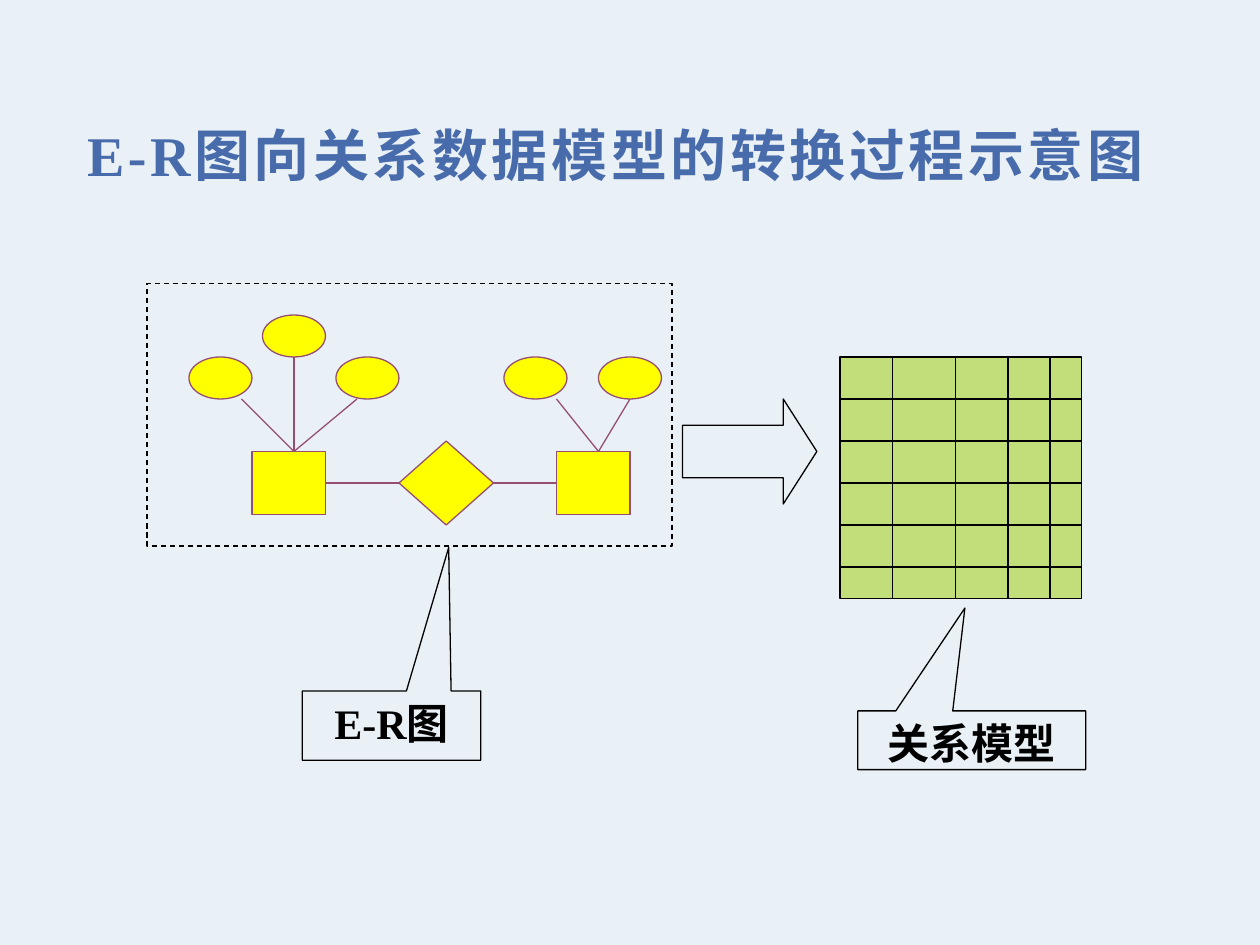
from lxml.etree import SubElement
from pptx import Presentation
from pptx.dml.color import RGBColor
from pptx.enum.dml import MSO_LINE
from pptx.enum.shapes import MSO_CONNECTOR, MSO_SHAPE
from pptx.enum.text import MSO_ANCHOR, PP_ALIGN
from pptx.oxml.ns import qn
from pptx.util import Cm, Pt

COLORS = {"background": "EAF1F6", "title": "476BAB", "node": "FFFF00",
          "node_line": "954E72", "table": "99CC00", "ink": "000000"}
FONT = "Times New Roman"
STEP = 2.54 / 12  # the diagram sits on a grid of twelve steps to the inch

prs = Presentation()
prs.slide_width, prs.slide_height = Cm(25.4), Cm(19.05)
s = prs.slides.add_slide(prs.slide_layouts[5])
s.background.fill.solid()
s.background.fill.fore_color.rgb = RGBColor.from_string(COLORS["background"])


def add_shape(kind, box, line, fill=None):
    """Add an outlined shape; box is left, top, width, height in grid steps."""
    sp = s.shapes.add_shape(kind, *[Cm(n * STEP) for n in box])
    sp.shadow.inherit = False
    sp.line.color.rgb = RGBColor.from_string(COLORS[line])
    sp.line.width = Pt(0.75)
    if fill:
        sp.fill.solid()
        sp.fill.fore_color.rgb = RGBColor.from_string(COLORS[fill])
    else:
        sp.fill.background()
    return sp


def add_line(ends, color):
    """Add a straight line; ends is x1, y1, x2, y2 in grid steps."""
    ln = s.shapes.add_connector(MSO_CONNECTOR.STRAIGHT, *[Cm(n * STEP) for n in ends])
    ln.line.color.rgb = RGBColor.from_string(COLORS[color])
    ln.line.width = Pt(0.75)
    SubElement(ln._element.spPr, qn("a:effectLst"))


# Title
title = s.shapes.title
title.left, title.top, title.width, title.height = Cm(1.5), Cm(1.52), Cm(22.58), Cm(3.18)
tf = title.text_frame
tf.word_wrap = True
tf.vertical_anchor = MSO_ANCHOR.MIDDLE
p = tf.paragraphs[0]
p.alignment = PP_ALIGN.LEFT
r = p.add_run()
r.text = "E-R图向关系数据模型的转换过程示意图"
r.font.name, r.font.size, r.font.bold = FONT, Pt(32), True
r.font.color.rgb = RGBColor.from_string(COLORS["title"])
r.font._element.set("spc", "200")

# E-R diagram: entities, relationship, attributes and their links
for left in (24, 53):
    add_shape(MSO_SHAPE.RECTANGLE, (left, 43, 7, 6), "node_line", "node")
add_shape(MSO_SHAPE.FLOWCHART_DECISION, (38, 42, 9, 8), "node_line", "node")
for left, top in ((18, 34), (25, 30), (32, 34), (48, 34), (57, 34)):
    add_shape(MSO_SHAPE.OVAL, (left, top, 6, 4), "node_line", "node")
for x1, x2 in ((38, 31), (47, 53)):
    add_line((x1, 46, x2, 46), "node_line")
for entity_x, x, y in ((28, 28, 34), (28, 34, 38), (28, 23, 38), (57, 53, 38), (57, 60, 38)):
    add_line((entity_x, 43, x, y), "node_line")

# Relational model: a ruled square
left, top, side = 80, 34, 23
square = add_shape(MSO_SHAPE.RECTANGLE, (left, top, side, side), "ink", "table")
color = square.fill._xPr.find(qn("a:solidFill")).find(qn("a:srgbClr"))
SubElement(color, qn("a:alpha")).set("val", "50000")
for y in range(top + 4, top + side, 4):
    add_line((left, y, left + side, y), "ink")
for x in (85, 91, 96, 100):
    add_line((x, top + side, x, top), "ink")

# Conversion arrow
arrow = add_shape(MSO_SHAPE.RIGHT_ARROW, (65, 38, 12.8, 10), "ink")
arrow.adjustments[0], arrow.adjustments[1] = 0.5, 0.32

# Callouts
for text, box, tip in (("E-R图", (28.8, 65.8, 17, 6.6), (0.32, -2.57)),
                       ("关系模型", (81.7, 67.7, 21.7, 5.6), (-0.03, -2.25))):
    callout = add_shape(MSO_SHAPE.RECTANGULAR_CALLOUT, box, "ink")
    callout.adjustments[0], callout.adjustments[1] = tip
    tf = callout.text_frame
    tf.vertical_anchor = MSO_ANCHOR.TOP
    p = tf.paragraphs[0]
    p.alignment = PP_ALIGN.CENTER
    r = p.add_run()
    r.text = text
    r.font.name, r.font.size, r.font.bold = FONT, Pt(24), True
    r.font.color.rgb = RGBColor.from_string(COLORS["ink"])

# Dashed frame around the E-R diagram
frame = add_shape(MSO_SHAPE.RECTANGLE, (14, 27, 50, 25), "ink")
frame.line.dash_style = MSO_LINE.DASH

prs.save("out.pptx")
